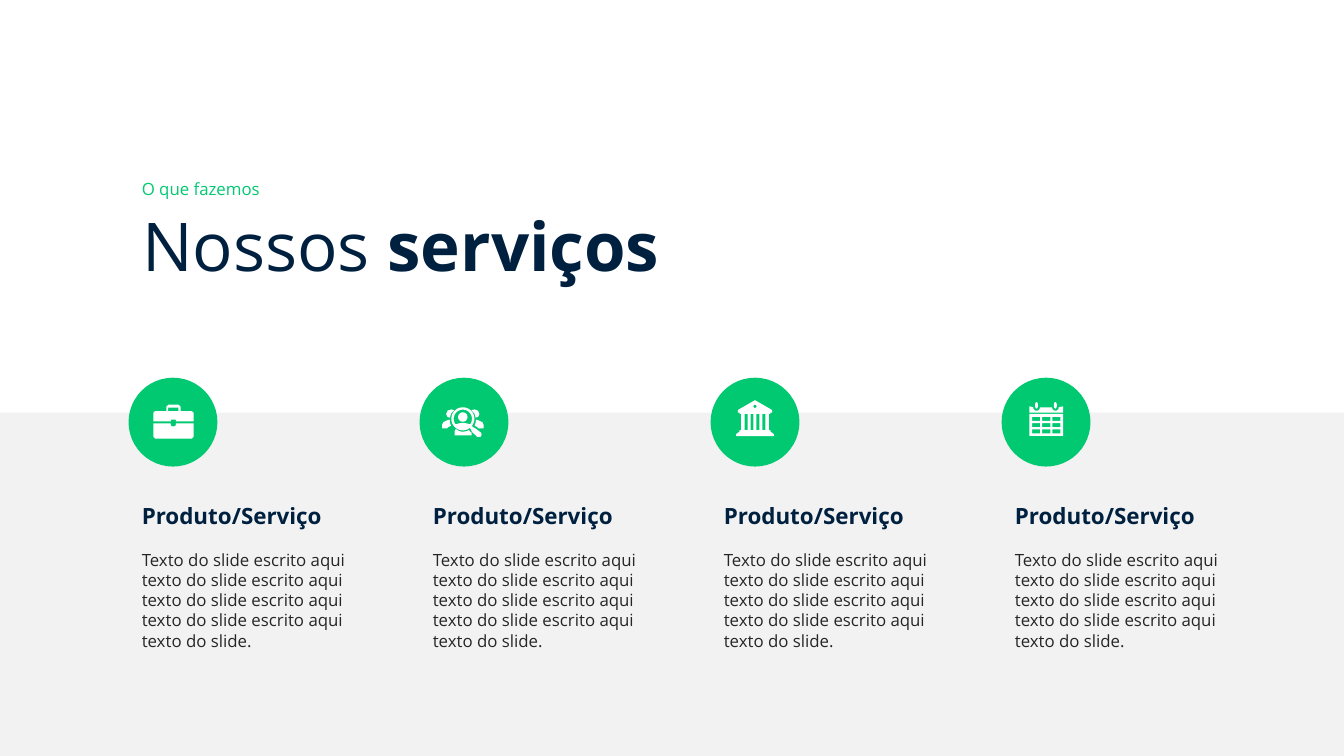
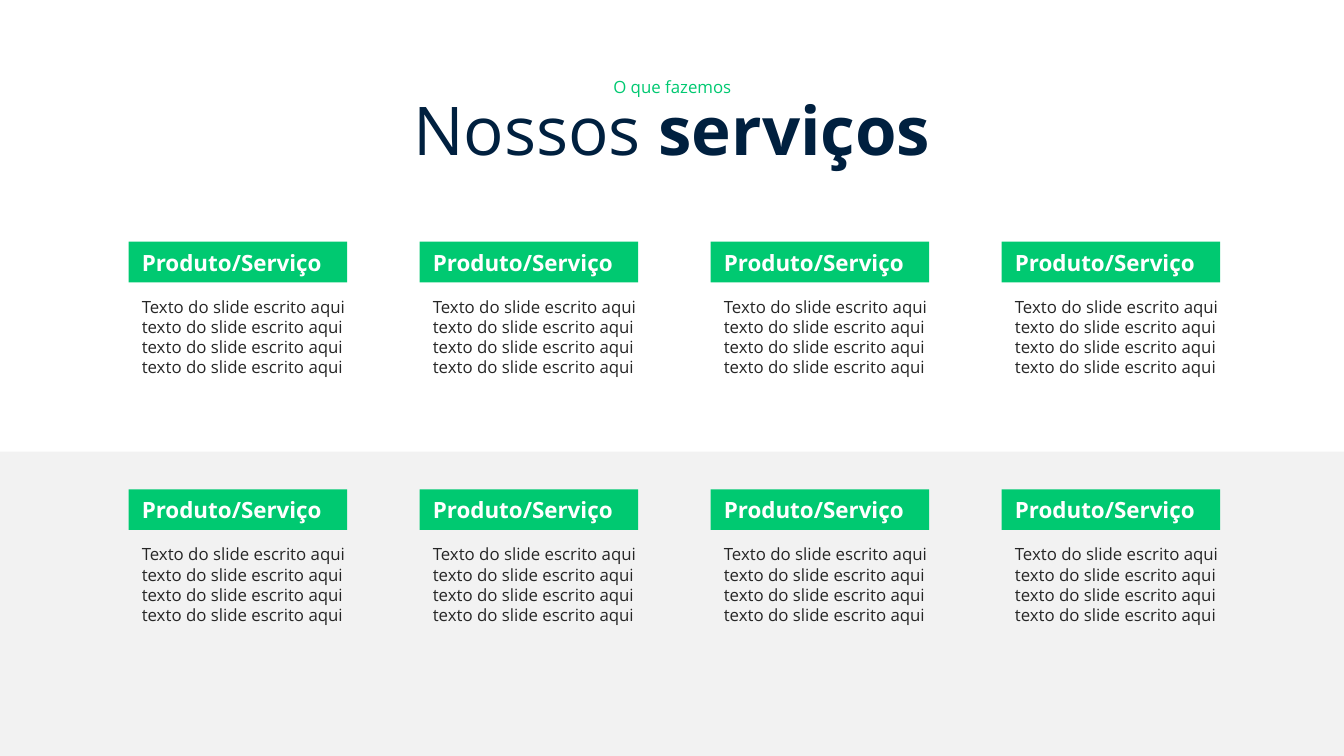
from dataclasses import dataclass
from math import cos, radians, sin

from pptx import Presentation
from pptx.dml.color import RGBColor as RGB
from pptx.enum.shapes import MSO_SHAPE as SHAPE
from pptx.enum.text import MSO_ANCHOR as ANCHOR, MSO_AUTO_SIZE as AUTO, PP_ALIGN as ALIGN
from pptx.util import Cm, Pt


@dataclass(frozen=True)
class Theme:
    """Colours, font and type sizes of the deck."""
    navy: RGB = RGB(0x00, 0x20, 0x3F)
    green: RGB = RGB(0x00, 0xC9, 0x71)
    grey: RGB = RGB(0xF2, 0xF2, 0xF2)
    ink: RGB = RGB(0x26, 0x26, 0x26)
    white: RGB = RGB(0xFF, 0xFF, 0xFF)
    font: str = "Open Sans"
    title: int = 36
    heading: int = 12
    body: int = 9


THEME = Theme()
WIDTH, HEIGHT = 25.4, 14.29
COLUMNS = [2.43 + 5.5 * i for i in range(4)]
BADGE = 1.68
GRID = 0.0254
AXIS = 33
HEADING = "Produto/Serviço"
LINES = "Texto do slide escrito aqui" + " texto do slide escrito aqui" * 3


def style(p, size, color, bold=None, align=ALIGN.LEFT):
    """Set the font and alignment of a paragraph."""
    p.font.name = THEME.font
    p.font.size = Pt(size)
    p.font.color.rgb = color
    p.font.bold = bold
    p.alignment = align


def write(sp, text, size, color, bold=None, align=ALIGN.LEFT):
    """Fill a shape with one styled paragraph."""
    tf = sp.text_frame
    tf.word_wrap = True
    tf.auto_size = AUTO.SHAPE_TO_FIT_TEXT
    tf.text = text
    style(tf.paragraphs[0], size, color, bold, align)


def add_text(s, x, y, w, h, text, size, color, **kwargs):
    """Add a text box."""
    sp = s.shapes.add_textbox(Cm(x), Cm(y), Cm(w), Cm(h))
    write(sp, text, size, color, **kwargs)


def paint(sp, color):
    """Give a shape a flat fill without line or shadow."""
    sp.fill.solid()
    sp.fill.fore_color.rgb = color
    sp.line.fill.background()
    sp.shadow.inherit = False
    return sp


def add_block(s, kind, x, y, w, h, color):
    """Add a flat preset shape."""
    return paint(s.shapes.add_shape(kind, Cm(x), Cm(y), Cm(w), Cm(h)), color)


def add_title(s, x, y, align):
    """Place the two-weight slide title."""
    sp = s.shapes.title
    sp.left, sp.top, sp.width, sp.height = Cm(x), Cm(y), Cm(21.59), Cm(1.8)
    tf = sp.text_frame
    tf.word_wrap = True
    tf.auto_size = AUTO.SHAPE_TO_FIT_TEXT
    tf.vertical_anchor = ANCHOR.TOP
    p = tf.paragraphs[0]
    style(p, THEME.title, THEME.navy, align=align)
    p.add_run().text = "Nossos "
    r = p.add_run()
    r.text = "serviços"
    r.font.bold = True


def add_body(s, x, y, h, text):
    """Add the description of one service."""
    add_text(s, x, y, 4.48, h, text, THEME.body, THEME.ink)


def add_label(s, x, y):
    """Add a green bar with the service name."""
    sp = add_block(s, SHAPE.RECTANGLE, x, y, 4.13, 0.77, THEME.green)
    write(sp, HEADING, THEME.heading, THEME.white, bold=True)


def arc(cx, cy, rx, ry, start=0, end=360):
    """Return points along an elliptical arc, clockwise if end exceeds start."""
    angles = [radians(start + (end - start) * i / 24) for i in range(25)]
    return [(cx + rx * cos(a), cy + ry * sin(a)) for a in angles]


def box(x, y, w, h):
    """Return the corners of a rectangle."""
    return [(x, y), (x + w, y), (x + w, y + h), (x, y + h)]


def mirror(points, axis):
    """Reflect points across a vertical axis, in reverse order."""
    return [(2 * axis - x, y) for x, y in reversed(points)]


def briefcase():
    """Return the parts of the briefcase icon."""
    lower = [(35.3, 34), (35, 35.6), (34, 36.2), (32.5, 36.2), (31.5, 35.6),
             (31.3, 34), (18.5, 34), (18.5, 44), (19.8, 45.3), (47, 45.3),
             (48.3, 44), (48.3, 34)]
    right = [(37, 20), (38.7, 21.5), (38.7, 24.8), (47, 24.8), (48.3, 26),
             (48.3, 32.4), (35.3, 32.4), (35.3, 31.2)]
    handle = box(29.5, 22.2, 7.6, 2.6)
    return [[lower], [right + mirror(right, 33.4), handle]]


def people_search():
    """Return the parts of the people search icon."""
    cx, cy = 32.2, 30.6
    lens = arc(cx, cy, 8.6, 8.6, 52, 398) + [
        (39.8, 36.9), (41.8, 37.9), (45.8, 41), (46.2, 42.6), (45.4, 44),
        (43.2, 44.2), (38.8, 40.2), (38.4, 38.8)]
    view = arc(cx, cy, 6.8, 6.8, 143, 397) + [(35, 34), (cx, 33.6), (29.4, 34)]
    desk = [(38.8, 41), (38.8, 43), (26, 43), (26, 40), (27, 38.2),
            (29.5, 39.8), (cx, 40.3), (35, 39.8), (36.8, 39), (37.8, 40.4)]
    head = [(38.6, 24.2), (40.8, 23.6), (43.5, 24.5), (44.6, 27), (43.8, 29),
            (41.8, 29.8), (41, 26.8)]
    torso = [(42, 31.2), (44, 31.8), (46.8, 33.2), (47.6, 35), (47.6, 37.8),
             (44, 37.8), (42.8, 36.6), (41, 35.8), (41.8, 33.5)]
    sides = [[part] for half in (head, torso) for part in (half, mirror(half, cx))]
    return [[lens, view], [arc(cx, 29.3, 3.5, 3.5)], [desk]] + sides


def bank():
    """Return the single part of the bank icon."""
    right = [(AXIS, 16.7), (45.7, 24), (45.7, 26), (44.5, 26), (44.5, 27),
             (43.3, 27), (43.3, 39), (44.5, 39), (44.5, 40), (47, 42), (47, 43.5)]
    gaps = [box(25.3 + 4.4 * i, 27, 2.2, 12) for i in range(4)]
    return [[right + mirror(right, AXIS), arc(AXIS, 21.3, 1.2, 1.2)] + gaps]


def calendar():
    """Return the parts of the calendar icon."""
    rings = (26, 40)
    cells = [box(22.7 + 7.5 * c, 29.2 + 4.6 * r, 6, 3) for r in range(3) for c in range(3)]
    notches = [pt for cx in rings for pt in arc(cx, 22, 2.5, 2.6, 180, 0)]
    bar = [(20.7, 21.3)] + notches + [(45.7, 21.3), (45.7, 26), (20.7, 26)]
    pins = [[arc(cx, 20.6, 1.1, 2.4)] for cx in rings]
    return [[box(20.7, 27, 25, 16.3)] + cells, [bar]] + pins


def add_outline(s, x, y, contours):
    """Add one freeform; later contours cut holes."""
    fb = None
    for contour in contours:
        pts = [(Cm(GRID * px), Cm(GRID * py)) for px, py in contour]
        if fb is None:
            fb = s.shapes.build_freeform(*pts[0])
        else:
            fb.move_to(*pts[0])
        fb.add_line_segments(pts[1:], close=True)
    return paint(fb.convert_to_shape(Cm(x), Cm(y)), THEME.white)


def add_badge(s, x, y, parts):
    """Add a green disc with a white icon."""
    add_block(s, SHAPE.OVAL, x, y, BADGE, BADGE, THEME.green)
    outlines = [add_outline(s, x, y, contours) for contours in parts]
    if len(outlines) > 1:
        s.shapes.add_group_shape(outlines)


def add_base(prs, band_top, title_at, tag_at, align):
    """Add a slide with its lower band, title and tag line."""
    s = prs.slides.add_slide(prs.slide_layouts[5])
    add_block(s, SHAPE.RECTANGLE, 0, band_top, WIDTH, HEIGHT - band_top, THEME.grey)
    add_title(s, *title_at, align)
    add_text(s, *tag_at, 8.25, 0.64, "O que fazemos", THEME.body, THEME.green, align=align)
    return s


def add_icon_slide(prs):
    """Build the slide of four services with icons."""
    left = COLUMNS[0]
    s = add_base(prs, 7.8, (left, 3.73), (left, 3.25), ALIGN.LEFT)
    for x, icon in zip(COLUMNS, (briefcase, people_search, bank, calendar)):
        add_text(s, x, 9.37, 4.7, 0.77, HEADING, THEME.heading, THEME.navy, bold=True)
        add_body(s, x, 10.26, 2.57, LINES + " texto do slide.")
        add_badge(s, x, 7.14, icon())


def add_grid_slide(prs):
    """Build the slide of eight services in two rows."""
    s = add_base(prs, 8.54, (1.9, 1.55), (8.58, 1.32), ALIGN.CENTER)
    for y in (4.57, 9.25):
        for x in COLUMNS:
            add_label(s, x, y)
            add_body(s, x, y + 0.91, 2.18, LINES)


def main():
    """Build and save the deck."""
    prs = Presentation()
    prs.slide_width, prs.slide_height = Cm(WIDTH), Cm(HEIGHT)
    add_icon_slide(prs)
    add_grid_slide(prs)
    prs.save("out.pptx")


if __name__ == "__main__":
    main()
